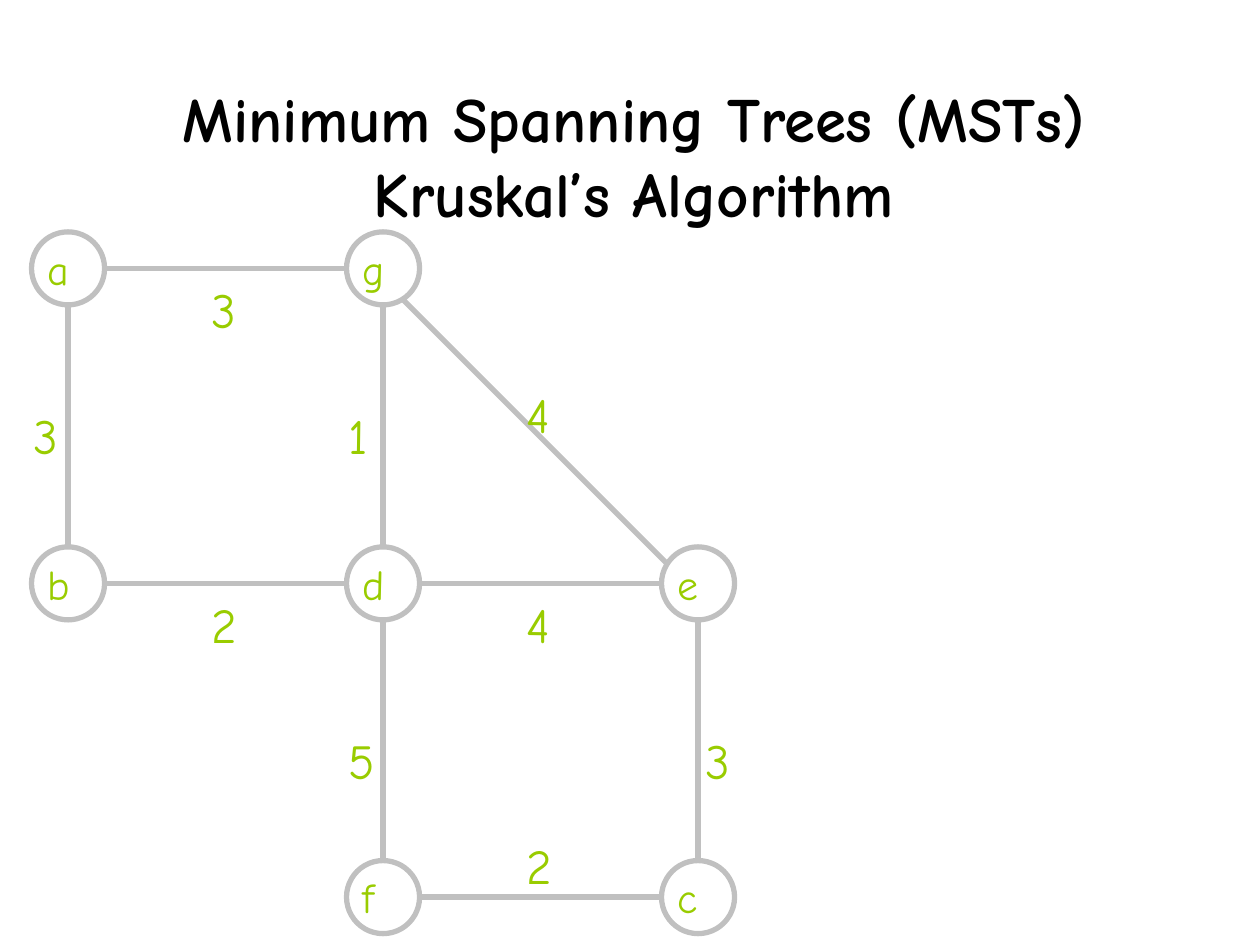
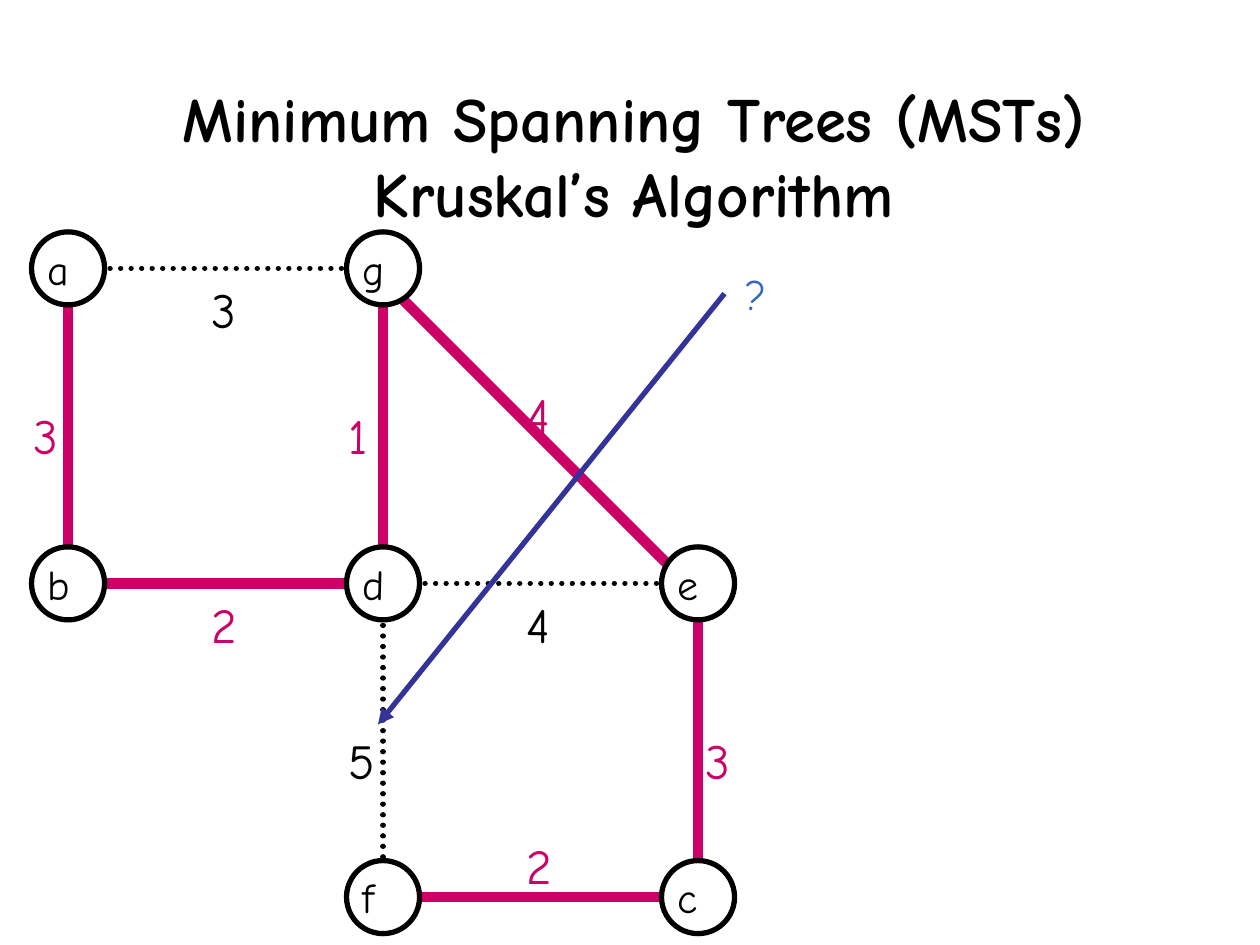
"""Build two slides on Kruskal's algorithm: a graph, then its spanning tree."""
from lxml import etree
from pptx import Presentation
from pptx.dml.color import RGBColor
from pptx.enum.dml import MSO_LINE
from pptx.enum.shapes import MSO_CONNECTOR, MSO_SHAPE
from pptx.enum.text import MSO_ANCHOR, MSO_AUTO_SIZE, PP_ALIGN
from pptx.oxml.ns import qn
from pptx.util import Inches, Pt

STRAIGHT, OVAL = MSO_CONNECTOR.STRAIGHT, MSO_SHAPE.OVAL
DOTTED = MSO_LINE.ROUND_DOT
TOP, MIDDLE = MSO_ANCHOR.TOP, MSO_ANCHOR.MIDDLE
LEFT, CENTER = PP_ALIGN.LEFT, PP_ALIGN.CENTER
GROW = MSO_AUTO_SIZE.SHAPE_TO_FIT_TEXT

FONT = "Comic Neue"
BLACK, WHITE, GRAY, GREEN = "000000", "FFFFFF", "C0C0C0", "99CC00"
MAGENTA, NAVY, BLUE = "CC0066", "333399", "3366CC"

TITLE = ["Minimum Spanning Trees (MSTs)", "Kruskal’s Algorithm"]
COLUMNS = (0.54, 3.04, 5.54)
ROWS = (2.13, 4.63, 7.12)
NODES = {"a": (0, 0), "g": (1, 0), "b": (0, 1), "d": (1, 1),
         "e": (2, 1), "f": (1, 2), "c": (2, 2)}
# start, end, weight, label left and top, in the tree
EDGES = [
    ("g", "e", "4", 4.08, 3, True),
    ("d", "f", "5", 2.67, 5.75, False),
    ("d", "e", "4", 4.08, 4.67, False),
    ("a", "b", "3", 0.17, 3.17, True),
    ("g", "d", "1", 2.67, 3.17, True),
    ("a", "g", "3", 1.58, 2.17, False),
    ("b", "d", "2", 1.58, 4.67, True),
    ("e", "c", "3", 5.5, 5.75, True),
    ("f", "c", "2", 4.08, 6.58, True),
]
PLAIN = {"color": GRAY, "width": 3}
TREE = {"color": MAGENTA, "width": 6}
REJECTED = {"color": BLACK, "width": 3, "dash": DOTTED}
GRAPH_STYLE = {"ring": GRAY, "letter": GREEN,
               "edges": {True: (PLAIN, GREEN), False: (PLAIN, GREEN)}}
TREE_STYLE = {"ring": BLACK, "letter": BLACK,
              "edges": {True: (TREE, MAGENTA), False: (REJECTED, BLACK)}}
NODE_SIZE = 0.58
LETTER_SIZE = (0.52, 0.5)
WEIGHT_SIZE = (0.42, 0.57)


def rgb(value):
    """Turn a hex string into a colour."""
    return RGBColor.from_string(value)


def write(shape, lines, size, color, bold=False, align=LEFT, before=0,
          wrap=True, anchor=TOP):
    """Fill a shape with formatted paragraphs."""
    frame = shape.text_frame
    frame.text = "\n".join(lines)
    frame_format = {"word_wrap": wrap, "vertical_anchor": anchor, "auto_size": GROW}
    for name, value in frame_format.items():
        setattr(frame, name, value)
    for para in frame.paragraphs:
        para.alignment, para.space_before = align, Pt(before)
        for span in para.runs:
            font_format = {"name": FONT, "size": Pt(size), "bold": bold}
            for name, value in font_format.items():
                setattr(span.font, name, value)
            span.font.color.rgb = rgb(color)


def add_label(slide, text, place, size, points, color, **text_format):
    """Add a one-line text box."""
    box = slide.shapes.add_textbox(*map(Inches, place + size))
    write(box, [text], points, color, **text_format)


def add_line(slide, start, end, color, width, dash=None, arrow=False):
    """Add a straight line, dotted or with an arrowhead on request."""
    connector = slide.shapes.add_connector(STRAIGHT, *map(Inches, start + end))
    connector.line.color.rgb = rgb(color)
    connector.line.width = Pt(width)
    properties = connector.element.spPr
    outline = properties.find(qn("a:ln"))
    if dash:
        connector.line.dash_style = dash
        outline.set("cap", "rnd")
    if arrow:
        etree.SubElement(outline, qn("a:tailEnd"), type="triangle")
    etree.SubElement(properties, qn("a:effectLst"))


def center_of(node):
    """Return the grid position of a node."""
    column, row = NODES[node]
    return COLUMNS[column], ROWS[row]


def centered(node, width, height):
    """Return the corner of a box centred on a node."""
    x, y = center_of(node)
    return x - width / 2, y - height / 2


def add_node(slide, node, style):
    """Add a ringed node with its letter."""
    place = centered(node, NODE_SIZE, NODE_SIZE)
    ring = slide.shapes.add_shape(OVAL, *map(Inches, place + (NODE_SIZE, NODE_SIZE)))
    ring.shadow.inherit = False
    ring.fill.solid()
    ring.fill.fore_color.rgb = rgb(WHITE)
    ring.line.color.rgb = rgb(style["ring"])
    ring.line.width = Pt(3)
    add_label(slide, node, centered(node, *LETTER_SIZE), LETTER_SIZE, 24,
              style["letter"], before=15, anchor=MIDDLE)


def add_graph_slide(deck, style):
    """Add a slide with the title and the weighted graph."""
    slide = deck.slides.add_slide(deck.slide_layouts[5])
    title = slide.shapes.title
    title_place = {"left": 1.34, "top": 0.58, "width": 7.38, "height": 1.3}
    for name, value in title_place.items():
        setattr(title, name, Inches(value))
    write(title, TITLE, 36, BLACK, bold=True, align=CENTER, wrap=False)
    for start, end, _, _, _, in_tree in EDGES:
        shift_x, shift_y = (-0.04, 0.05) if (start, end) == ("g", "e") else (0, 0)
        ends = [(x + shift_x, y + shift_y) for x, y in map(center_of, (start, end))]
        add_line(slide, *ends, **style["edges"][in_tree][0])
    for node in NODES:
        add_node(slide, node, style)
    for _, _, weight, left, top, in_tree in EDGES:
        add_label(slide, weight, (left, top), WEIGHT_SIZE, 28,
                  style["edges"][in_tree][1], before=17.5)
    return slide


def main():
    """Build and save the deck."""
    deck = Presentation()
    deck.slide_width, deck.slide_height = Inches(10), Inches(7.5)
    add_graph_slide(deck, GRAPH_STYLE)
    tree_slide = add_graph_slide(deck, TREE_STYLE)
    add_line(tree_slide, (5.75, 2.33), (3, 5.75), NAVY, 3, arrow=True)
    add_label(tree_slide, "?", (5.82, 2.08), (0.36, 0.5), 24, BLUE, wrap=False)
    deck.save("out.pptx")


if __name__ == "__main__":
    main()
